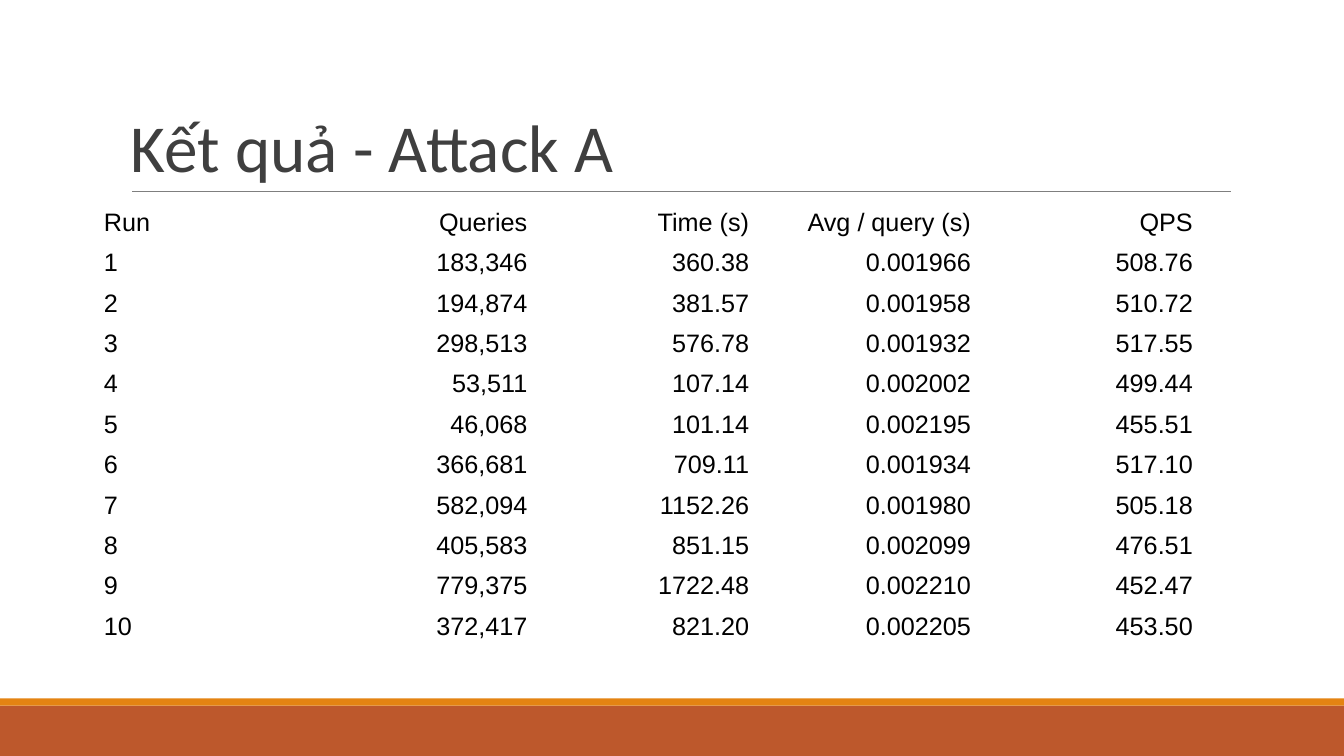
from lxml import etree
from pptx import Presentation
from pptx.dml.color import RGBColor
from pptx.enum.shapes import MSO_CONNECTOR as Connector, MSO_SHAPE as Shape
from pptx.enum.text import MSO_ANCHOR as Anchor, PP_ALIGN as Align
from pptx.oxml.ns import qn
from pptx.util import Inches, Pt

SLIDE_WIDTH, SLIDE_HEIGHT = 13.33, 7.5

HEADER = ("Run", "Queries", "Time (s)", "Avg / query (s)", "QPS")
RUNS = [
    ("183,346", "360.38", "0.001966", "508.76"),
    ("194,874", "381.57", "0.001958", "510.72"),
    ("298,513", "576.78", "0.001932", "517.55"),
    ("53,511", "107.14", "0.002002", "499.44"),
    ("46,068", "101.14", "0.002195", "455.51"),
    ("366,681", "709.11", "0.001934", "517.10"),
    ("582,094", "1152.26", "0.001980", "505.18"),
    ("405,583", "851.15", "0.002099", "476.51"),
    ("779,375", "1722.48", "0.002210", "452.47"),
    ("372,417", "821.20", "0.002205", "453.50"),
]


def color(hex_value):
    return RGBColor.from_string(hex_value)


def write(frame, text, size=18, font="Arial", fill="000000",
          align=Align.LEFT, line_spacing=1.0):
    paragraph = frame.paragraphs[0]
    paragraph.alignment = align
    paragraph.line_spacing = line_spacing
    run = paragraph.add_run()
    run.text = text
    run.font.size = Pt(size)
    run.font.name = font
    run.font.bold = False
    run.font.color.rgb = color(fill)


class SlideBuilder:
    ORANGE, RUST = "E48312", "BD582C"
    RULE, TITLE = "7F7F7F", "3F3F3F"
    TITLE_FONT = "Calibri"

    def __init__(self, slide):
        self.slide = slide
        background = slide.background.fill
        background.solid()
        background.fore_color.rgb = color("FFFFFF")

    def band(self, top, height, fill):
        band = self.slide.shapes.add_shape(
            Shape.RECTANGLE, 0, Inches(top), Inches(SLIDE_WIDTH), Inches(height))
        band.shadow.inherit = False
        band.fill.solid()
        band.fill.fore_color.rgb = color(fill)
        band.line.fill.background()

    def rule(self, left, right, y):
        rule = self.slide.shapes.add_connector(
            Connector.STRAIGHT, Inches(left), Inches(y), Inches(right), Inches(y))
        rule.line.color.rgb = color(self.RULE)
        rule.line.width = Pt(0.75)
        etree.SubElement(rule.element.spPr, qn("a:effectLst"))

    def title(self, text, left, top, width, height):
        title = self.slide.shapes.add_textbox(
            Inches(left), Inches(top), Inches(width), Inches(height))
        frame = title.text_frame
        frame.word_wrap = True
        frame.vertical_anchor = Anchor.BOTTOM
        write(frame, text, size=48, font=self.TITLE_FONT, fill=self.TITLE,
              line_spacing=0.85)

    def table(self, rows, left, top, column_width, row_height):
        table = self.slide.shapes.add_table(
            len(rows), len(rows[0]), Inches(left), Inches(top),
            Inches(column_width * len(rows[0])), Inches(row_height * len(rows))).table
        table.first_row = table.horz_banding = False
        for column in table.columns:
            column.width = Inches(column_width)
        for row, values in zip(table.rows, rows):
            row.height = Inches(row_height)
            for index, (cell, value) in enumerate(zip(row.cells, values)):
                cell.fill.background()
                cell.vertical_anchor = Anchor.MIDDLE
                write(cell.text_frame, value,
                      align=Align.RIGHT if index else Align.LEFT)


def main():
    deck = Presentation()
    deck.slide_width, deck.slide_height = Inches(SLIDE_WIDTH), Inches(SLIDE_HEIGHT)
    builder = SlideBuilder(deck.slides.add_slide(deck.slide_layouts[6]))

    # Footer bands and title rule
    builder.band(7, 0.5, builder.RUST)
    builder.band(6.93, 0.07, builder.ORANGE)
    builder.rule(1.31, 12.21, 1.9)

    # Title
    builder.title("Kết quả - Attack A", 1.2, 0.31, 11, 1.59)

    # Results, one row per run
    numbered_runs = [(str(number), *values) for number, values in enumerate(RUNS, 1)]
    builder.table([HEADER, *numbered_runs], 0.93, 2.01, 2.2, 0.4)

    deck.save("out.pptx")


if __name__ == "__main__":
    main()
